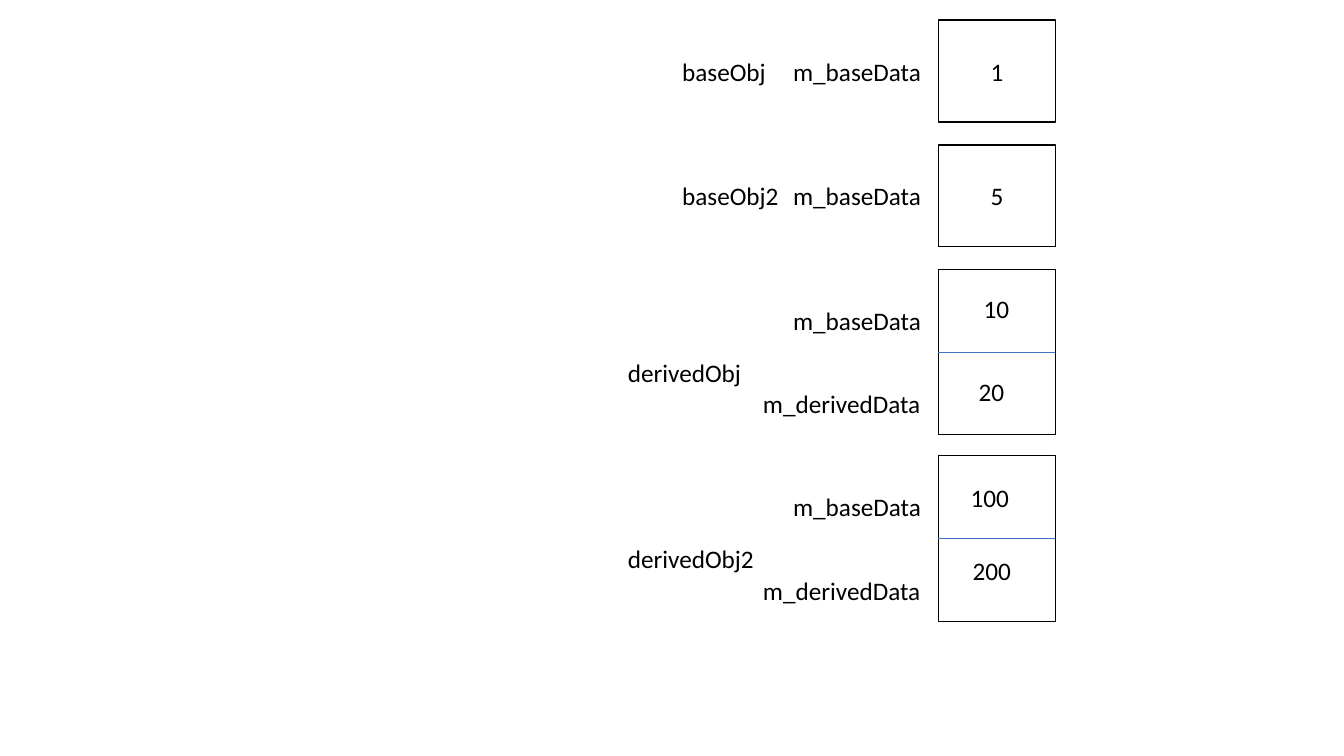
import pptx
import pptx.dml.color
import pptx.enum.shapes
import pptx.enum.text
import pptx.oxml
import pptx.oxml.ns
import pptx.util

Pt = pptx.util.Pt
COLORS = {"text": "000000", "border": "000000", "fill": "FFFFFF", "divider": "4472C4"}
FONT = "Calibri"

# Shared columns and row offsets, in points
BOX_LEFT, BOX_WIDTH = 670.3, 83.6
BASE_HEIGHT, DERIVED_HEIGHT = 72.8, 118.2
LABEL_HEIGHT = 29.1
BASE_LABEL_OFFSET = 22
DERIVED_LABEL_OFFSET = 81.5

# Name, name width, top, value
BASE_OBJECTS = [
    ("baseObj", 74.9, 14.4, "1"),
    ("baseObj2", 84.2, 103.5, "5"),
]
# Name, name width, top, values as (text, left, top offset, width)
DERIVED_OBJECTS = [
    ("derivedObj", 96.5, 192.4,
     [("10", 695.5, 13.7, 33.1), ("20", 691.9, 72.7, 33.1)]),
    ("derivedObj2", 105.8, 325.6,
     [("100", 686.2, 15.1, 42.5), ("200", 687.6, 67.7, 42.5)]),
]


def color(name):
    return pptx.dml.color.RGBColor.from_string(COLORS[name])


def set_text(shape, text):
    para = shape.text_frame.paragraphs[0]
    para.text = text
    for span in para.runs:
        span.font.name = FONT
        span.font.size = Pt(18)
        span.font.color.rgb = color("text")
    return para


def add_label(page, text, left, top, width):
    label = page.shapes.add_textbox(Pt(left), Pt(top), Pt(width), Pt(LABEL_HEIGHT))
    label.text_frame.word_wrap = False
    label.text_frame.auto_size = pptx.enum.text.MSO_AUTO_SIZE.SHAPE_TO_FIT_TEXT
    set_text(label, text)


def add_box(page, top, height, text=""):
    box = page.shapes.add_shape(
        pptx.enum.shapes.MSO_SHAPE.RECTANGLE,
        Pt(BOX_LEFT), Pt(top), Pt(BOX_WIDTH), Pt(height))
    box.shadow.inherit = False
    box.fill.solid()
    box.fill.fore_color.rgb = color("fill")
    box.line.color.rgb = color("border")
    box.line.width = Pt(1)
    if text:
        box.text_frame.vertical_anchor = pptx.enum.text.MSO_ANCHOR.MIDDLE
        set_text(box, text).alignment = pptx.enum.text.PP_ALIGN.CENTER
    return box


def add_divider(page, box):
    middle = box.top + box.height // 2
    divider = page.shapes.add_connector(
        pptx.enum.shapes.MSO_CONNECTOR.STRAIGHT,
        box.left, middle, box.left + box.width, middle)
    divider.begin_connect(box, 1)
    divider.end_connect(box, 3)
    divider.line.color.rgb = color("divider")
    divider.line.width = Pt(0.5)
    properties = divider.element.find(pptx.oxml.ns.qn("p:spPr"))
    properties.append(pptx.oxml.parse_xml(
        f'<a:effectLst {pptx.oxml.ns.nsdecls("a")}/>'))


def add_base_label(page, top):
    add_label(page, "m_baseData", 559.4, top + BASE_LABEL_OFFSET, 107.3)


def add_base_object(page, name, name_width, top, value):
    add_box(page, top, BASE_HEIGHT, value)
    add_label(page, name, 480.2, top + BASE_LABEL_OFFSET, name_width)
    add_base_label(page, top)


def add_derived_object(page, name, name_width, top, values):
    box = add_box(page, top, DERIVED_HEIGHT)
    add_label(page, name, 441.4, top + DERIVED_HEIGHT / 2, name_width)
    add_divider(page, box)
    add_base_label(page, top)
    add_label(page, "m_derivedData", 537.9, top + DERIVED_LABEL_OFFSET, 128.4)
    for text, left, offset, width in values:
        add_label(page, text, left, top + offset, width)


def main():
    deck = pptx.Presentation()
    deck.slide_width, deck.slide_height = Pt(960), Pt(540)
    page = deck.slides.add_slide(deck.slide_layouts.get_by_name("Blank"))

    # Objects with a single field
    for entry in BASE_OBJECTS:
        add_base_object(page, *entry)

    # Objects with an inherited field and their own
    for entry in DERIVED_OBJECTS:
        add_derived_object(page, *entry)

    deck.save("out.pptx")


if __name__ == "__main__":
    main()
